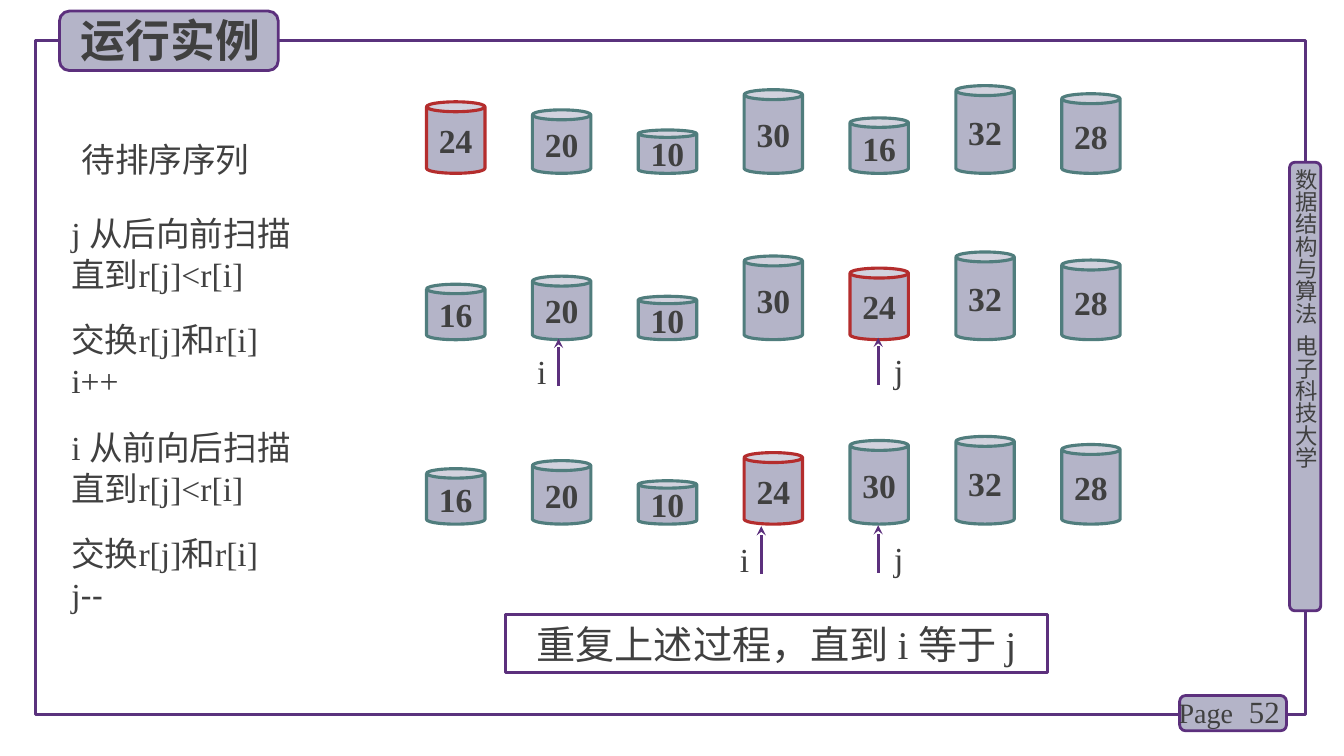
from dataclasses import dataclass

from lxml import etree
from pptx import Presentation
from pptx.dml.color import RGBColor
from pptx.enum.shapes import MSO_CONNECTOR, MSO_SHAPE
from pptx.enum.text import MSO_ANCHOR, MSO_AUTO_SIZE, PP_ALIGN
from pptx.oxml.ns import qn
from pptx.util import Inches, Pt

RECT, ROUND, CAN = MSO_SHAPE.RECTANGLE, MSO_SHAPE.ROUNDED_RECTANGLE, MSO_SHAPE.CAN
STRAIGHT = MSO_CONNECTOR.STRAIGHT
TOP, MIDDLE = MSO_ANCHOR.TOP, MSO_ANCHOR.MIDDLE
LEFT, CENTER, RIGHT = PP_ALIGN.LEFT, PP_ALIGN.CENTER, PP_ALIGN.RIGHT
NO_AUTOFIT = MSO_AUTO_SIZE.NONE


@dataclass(frozen=True)
class Theme:
    text: str = "404040"
    panel: str = "B4B4C8"
    frame: str = "5A327D"
    border: str = "5C307D"
    can: str = "507D7D"
    pivot: str = "B42D2D"
    latin: str = "Times New Roman"
    cjk: str = "Noto Sans CJK SC"
    symbol: str = "Arial"
    title: int = 32
    result: int = 28
    body: int = 24
    number: int = 22
    page: int = 20
    side: int = 16
    thin: float = 2
    thick: float = 2.25
    leading: float = 1.215


T = Theme()
FIRST_X, STEP, CAN_W = 4.23, 1.05, 0.58
ROWS = [
    (1.72, [24, 20, 10, 30, 16, 32, 28]),
    (3.37, [16, 20, 10, 30, 24, 32, 28]),
    (5.2, [16, 20, 10, 24, 30, 32, 28]),
]
PIVOT = 24
POINTERS = [("i", 5.54, 3.36), ("j", 8.71, 3.35), ("i", 7.55, 5.22), ("j", 8.71, 5.21)]
STEPS = [
    (2.06, [["j 从后向前扫描"], ["直到r[j]<r[i]"]]),
    (3.11, [["交换r[j]和r[i]"], ["i++"]]),
    (4.18, [["i 从前向后扫描"], ["直到r[j]<r[i]"]]),
    (5.23, [["交换r[j]和r[i]"], ["j", ("--", T.symbol)]]),
]


def write(tf, text, size=T.body, font=T.latin, bold=False, align=LEFT,
          anchor=TOP, wrap=True, leading=None):
    tf.word_wrap = wrap
    tf.auto_size = NO_AUTOFIT
    tf.vertical_anchor = anchor
    lines = [[text]] if isinstance(text, str) else text
    for n, line in enumerate(lines):
        p = tf.add_paragraph() if n else tf.paragraphs[0]
        p.alignment = align
        if leading:
            p.line_spacing = Pt(round(size * leading, 1))
        for part in line:
            words, face = (part, font) if isinstance(part, str) else part
            r = p.add_run()
            r.text = words
            r.font.size = Pt(size)
            r.font.bold = bold
            r.font.name = face
            r.font.color.rgb = RGBColor.from_string(T.text)
            ea = etree.SubElement(r.font._element, qn("a:ea"))
            ea.set("typeface", T.cjk)


def add_box(slide, kind, x, y, w, h, line, width=T.thick, fill=None):
    s = slide.shapes.add_shape(kind, Inches(x), Inches(y), Inches(w), Inches(h))
    s.shadow.inherit = False
    if fill:
        s.fill.solid()
        s.fill.fore_color.rgb = RGBColor.from_string(fill)
    else:
        s.fill.background()
    s.line.color.rgb = RGBColor.from_string(line)
    s.line.width = Pt(width)
    return s


def add_badge(slide, x, y, w, h):
    return add_box(slide, ROUND, x, y, w, h, T.border, T.thin, T.panel)


def add_text(slide, x, y, w, h, text, **fmt):
    s = slide.shapes.add_textbox(Inches(x), Inches(y), Inches(w), Inches(h))
    write(s.text_frame, text, **fmt)
    return s


def add_can_row(slide, bottom, values):
    for n, value in enumerate(values):
        h = 0.23 + 0.02 * value
        s = add_box(slide, CAN, FIRST_X + n * STEP, bottom - h, CAN_W, h,
                    T.pivot if value == PIVOT else T.can, fill=T.panel)
        s.adjustments[0] = 0.17
        write(s.text_frame, str(value), bold=True, align=CENTER, anchor=MIDDLE, wrap=False)


def add_pointer(slide, name, x, tip):
    c = slide.shapes.add_connector(STRAIGHT, Inches(x), Inches(tip + 0.47), Inches(x), Inches(tip))
    c.line.color.rgb = RGBColor.from_string(T.border)
    c.line.width = Pt(T.thick)
    head = etree.SubElement(c.line._get_or_add_ln(), qn("a:tailEnd"))
    head.set("type", "stealth")
    etree.SubElement(c._element.spPr, qn("a:effectLst"))
    offset = -0.31 if name == "i" else 0.06
    add_text(slide, x + offset, tip + 0.07, 0.25, 0.5, name, leading=T.leading)


def add_side_label(slide):
    add_badge(slide, 12.79, 1.61, 0.31, 4.45)
    s = add_text(slide, 12.82, 1.67, 0.27, 4.49, "数据结构与算法  电子科技大学",
                 size=T.side, font=T.cjk, leading=T.leading)
    tf = s.text_frame
    tf.margin_left = tf.margin_right = tf.margin_top = tf.margin_bottom = 0
    tf._txBody.bodyPr.set("vert", "eaVert")


def add_page_label(slide):
    add_badge(slide, 11.7, 6.9, 1.06, 0.35)
    add_text(slide, 11.87, 6.86, 0.92, 0.4, "52", size=T.number, align=RIGHT, anchor=MIDDLE)
    add_text(slide, 11.59, 6.85, 1.28, 0.44, "Page", size=T.page)


def place_title(slide, text):
    add_badge(slide, 0.59, 0.11, 2.17, 0.59)
    s = slide.shapes.title
    s.left, s.top, s.width, s.height = Inches(0.7), Inches(0.07), Inches(2.12), Inches(0.64)
    write(s.text_frame, text, size=T.title, font=T.cjk, bold=True, leading=T.leading)
    slide.shapes._spTree.append(s._element)


def main():
    prs = Presentation()
    prs.slide_width, prs.slide_height = Inches(13.33), Inches(7.5)
    slide = prs.slides.add_slide(prs.slide_layouts[5])
    add_box(slide, RECT, 0.35, 0.4, 12.6, 6.69, T.frame)
    add_side_label(slide)
    add_page_label(slide)
    place_title(slide, "运行实例")
    add_text(slide, 0.71, 1.33, 2.06, 0.5, "待排序序列", anchor=MIDDLE, leading=T.leading)
    for y, lines in STEPS:
        add_text(slide, 0.61, y, 2.47, 0.91, lines, leading=T.leading)
    for bottom, values in ROWS:
        add_can_row(slide, bottom, values)
    for name, x, tip in POINTERS:
        add_pointer(slide, name, x, tip)
    result = add_box(slide, RECT, 5.01, 6.1, 5.38, 0.57, T.border)
    write(result.text_frame, "重复上述过程，直到 i 等于 j", size=T.result,
          align=CENTER, leading=T.leading)
    prs.save("out.pptx")


if __name__ == "__main__":
    main()
